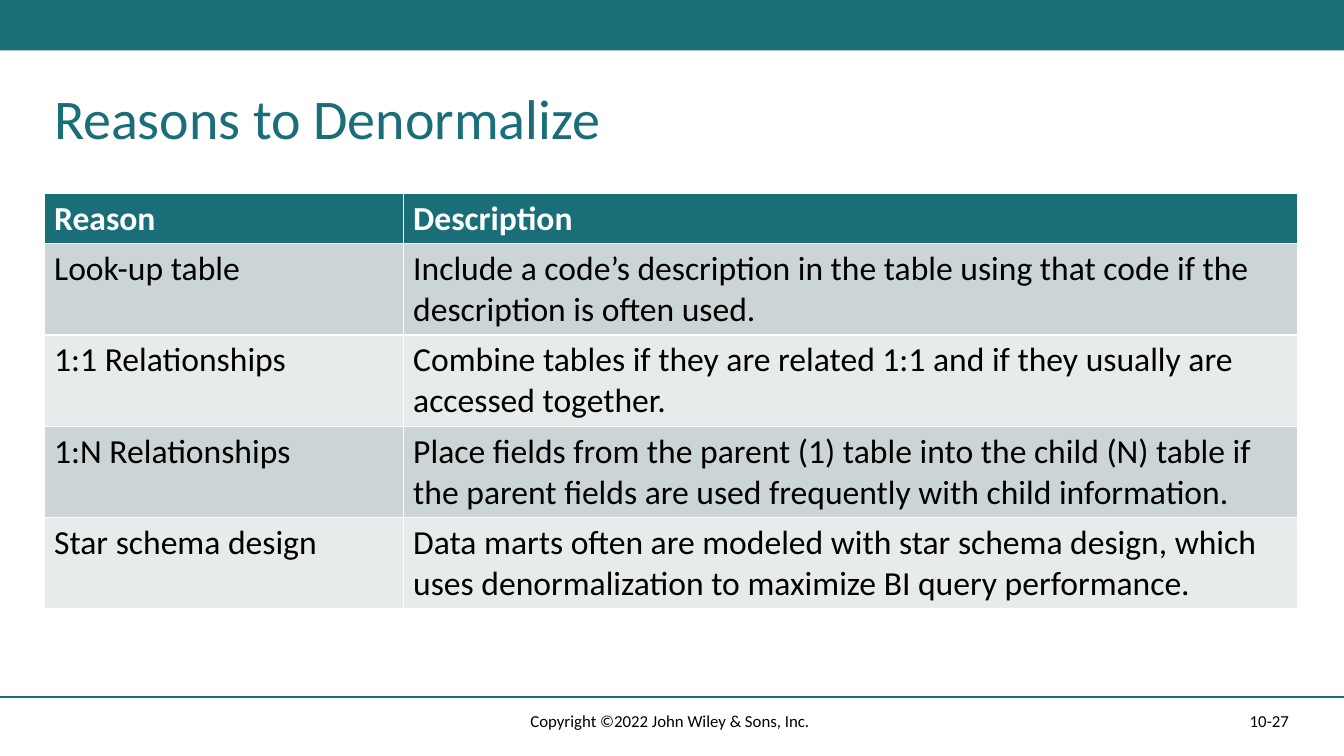
from dataclasses import dataclass

from lxml.etree import SubElement
from pptx import Presentation
from pptx.dml.color import RGBColor
from pptx.enum.shapes import MSO_CONNECTOR, MSO_SHAPE
from pptx.enum.text import MSO_ANCHOR, PP_ALIGN
from pptx.oxml.ns import qn
from pptx.slide import Slide
from pptx.text.text import TextFrame
from pptx.util import Emu, Pt


@dataclass(frozen=True)
class Theme:
    font: str = "Calibri"
    teal: RGBColor = RGBColor(0x19, 0x6E, 0x78)
    white: RGBColor = RGBColor(0xFF, 0xFF, 0xFF)
    black: RGBColor = RGBColor(0, 0, 0)
    bands: tuple[RGBColor, RGBColor] = (
        RGBColor(0xCC, 0xD5, 0xD6),
        RGBColor(0xE8, 0xEB, 0xEC),
    )
    title_size: int = 40
    table_size: int = 24
    footer_size: int = 12


@dataclass(frozen=True)
class Box:
    left: int
    top: int
    width: int
    height: int


@dataclass(frozen=True)
class Label:
    text: str
    box: Box
    size: int
    color: RGBColor
    align: PP_ALIGN = PP_ALIGN.LEFT
    anchor: MSO_ANCHOR = MSO_ANCHOR.MIDDLE
    line_spacing: float = 1.0


@dataclass(frozen=True)
class Reason:
    name: str
    description: str


THEME = Theme()
SLIDE_WIDTH, SLIDE_HEIGHT = 1280, 720
MARGIN = 42
CONTENT_WIDTH = SLIDE_WIDTH - 2 * MARGIN - 2
BANNER_HEIGHT = 48
FOOTER_RULE_Y = 664
TABLE_TOP = 184
NAME_WIDTH = 342
HEADER_HEIGHT, REASON_HEIGHT = 47, 87

LABELS = [
    Label("Reasons to Denormalize", Box(MARGIN, 82, CONTENT_WIDTH, 102),
          THEME.title_size, THEME.teal, anchor=MSO_ANCHOR.TOP, line_spacing=0.9),
    Label("10-27", Box(904, 667, 333, 38),
          THEME.footer_size, THEME.black, PP_ALIGN.RIGHT),
    Label("Copyright ©2022 John Wiley & Sons, Inc. ", Box(424, 667, 432, 38),
          THEME.footer_size, THEME.black, PP_ALIGN.CENTER),
]

HEADER = Reason("Reason", "Description")
REASONS = [
    Reason("Look-up table",
           "Include a code’s description in the table using that code if the "
           "description is often used."),
    Reason("1:1 Relationships",
           "Combine tables if they are related 1:1 and if they usually are "
           "accessed together."),
    Reason("1:N Relationships",
           "Place fields from the parent (1) table into the child (N) table if "
           "the parent fields are used frequently with child information."),
    Reason("Star schema design",
           "Data marts often are modeled with star schema design, which uses "
           "denormalization to maximize BI query performance."),
]


def px(length: int) -> Emu:
    return Emu(length * 9525)


def write(frame: TextFrame, text: str, size: int, color: RGBColor,
          bold: bool = False) -> None:
    frame.text = text
    font = frame.paragraphs[0].runs[0].font
    font.name, font.size, font.bold = THEME.font, Pt(size), bold
    font.color.rgb = color


def add_label(slide: Slide, label: Label) -> None:
    box = label.box
    frame = slide.shapes.add_textbox(
        px(box.left), px(box.top), px(box.width), px(box.height)).text_frame
    frame.word_wrap = True
    frame.vertical_anchor = label.anchor
    write(frame, label.text, label.size, label.color)
    frame.paragraphs[0].alignment = label.align
    frame.paragraphs[0].line_spacing = label.line_spacing


def add_banner(slide: Slide) -> None:
    banner = slide.shapes.add_shape(
        MSO_SHAPE.RECTANGLE, 0, 0, px(SLIDE_WIDTH), px(BANNER_HEIGHT))
    banner.shadow.inherit = False
    banner.fill.solid()
    banner.fill.fore_color.rgb = THEME.teal
    banner.line.fill.background()


def add_footer_rule(slide: Slide) -> None:
    rule = slide.shapes.add_connector(
        MSO_CONNECTOR.STRAIGHT, 0, px(FOOTER_RULE_Y),
        px(SLIDE_WIDTH), px(FOOTER_RULE_Y))
    rule.line.color.rgb = THEME.teal
    rule.line.width = Pt(1)
    SubElement(rule._element.spPr, qn("a:effectLst"))


def add_reasons(slide: Slide) -> None:
    entries = [HEADER, *REASONS]
    height = HEADER_HEIGHT + REASON_HEIGHT * len(REASONS)
    # The default table style supplies the white cell borders
    table = slide.shapes.add_table(
        len(entries), 2, px(MARGIN), px(TABLE_TOP),
        px(CONTENT_WIDTH), px(height)).table
    table.columns[0].width = px(NAME_WIDTH)
    table.columns[1].width = px(CONTENT_WIDTH - NAME_WIDTH)
    for index, entry in enumerate(entries):
        is_header = index == 0
        table.rows[index].height = px(HEADER_HEIGHT if is_header else REASON_HEIGHT)
        fill = THEME.teal if is_header else THEME.bands[(index - 1) % 2]
        color = THEME.white if is_header else THEME.black
        for column, text in enumerate((entry.name, entry.description)):
            cell = table.cell(index, column)
            cell.fill.solid()
            cell.fill.fore_color.rgb = fill
            write(cell.text_frame, text, THEME.table_size, color, is_header)


def main() -> None:
    deck = Presentation()
    deck.slide_width, deck.slide_height = px(SLIDE_WIDTH), px(SLIDE_HEIGHT)
    slide = deck.slides.add_slide(deck.slide_layouts[6])

    # Frame of the slide
    add_banner(slide)
    add_footer_rule(slide)

    # Title, page number and copyright
    for label in LABELS:
        add_label(slide, label)

    # Table of reasons
    add_reasons(slide)

    deck.save("out.pptx")


if __name__ == "__main__":
    main()
